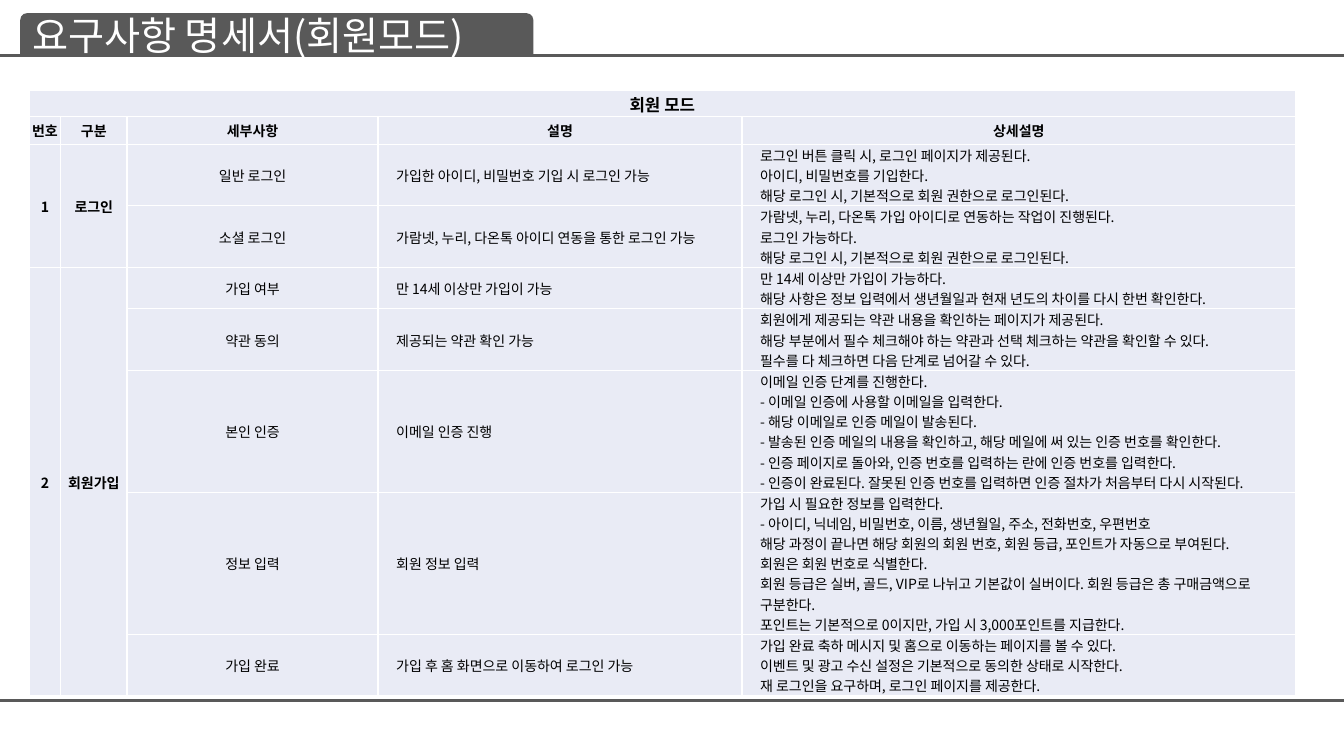
import pptx
import pptx.dml.color
import pptx.enum.shapes
import pptx.enum.text
import pptx.oxml.ns
import pptx.util
from lxml import etree

Inches = pptx.util.Inches
GRAY = pptx.dml.color.RGBColor(0x59, 0x59, 0x59)
WHITE = pptx.dml.color.RGBColor(0xFF, 0xFF, 0xFF)
BLACK = pptx.dml.color.RGBColor(0x00, 0x00, 0x00)
PALE = pptx.dml.color.RGBColor(0xE9, 0xEB, 0xF5)
FONT = "Noto Sans CJK KR"
qn = pptx.oxml.ns.qn


def style_paragraph(paragraph, size, color, bold, alignment):
    paragraph.alignment = alignment
    font = paragraph.font
    font.name = FONT
    font.size = pptx.util.Pt(size)
    font.bold = bold
    font.color.rgb = color
    properties = paragraph._p.pPr.find(qn("a:defRPr"))
    etree.SubElement(properties, qn("a:ea"), typeface=FONT)


def add_borders(cell):
    properties = cell._tc.get_or_add_tcPr()
    for side in ("a:lnL", "a:lnR", "a:lnT", "a:lnB"):
        line = etree.SubElement(properties, qn(side), w=str(pptx.util.Pt(1)))
        fill = etree.SubElement(line, qn("a:solidFill"))
        etree.SubElement(fill, qn("a:srgbClr"), val=str(WHITE))


presentation = pptx.Presentation()
presentation.slide_width = Inches(13.33)
presentation.slide_height = Inches(7.5)
slide = presentation.slides.add_slide(presentation.slide_layouts[6])

for y in (0.55, 6.95):
    rule = slide.shapes.add_connector(
        pptx.enum.shapes.MSO_CONNECTOR.STRAIGHT, 0, Inches(y), Inches(13.33), Inches(y))
    rule.line.color.rgb = GRAY
    rule.line.width = pptx.util.Pt(2.25)
    etree.SubElement(rule._element.spPr, qn("a:effectLst"))

title = slide.shapes.add_shape(
    pptx.enum.shapes.MSO_SHAPE.ROUND_2_SAME_RECTANGLE,
    Inches(0.2), Inches(0.13), Inches(5.09), Inches(0.42))
title.shadow.inherit = False
title.fill.solid()
title.fill.fore_color.rgb = GRAY
title.line.fill.background()
title.text_frame.word_wrap = True
title.text_frame.vertical_anchor = pptx.enum.text.MSO_ANCHOR.MIDDLE
title_paragraph = title.text_frame.paragraphs[0]
title_paragraph.text = "요구사항 명세서(회원모드)"
style_paragraph(title_paragraph, 28, WHITE, False, pptx.enum.text.PP_ALIGN.LEFT)

rows = [
    ("회원 모드", "", "", "", ""),
    ("번호", "구분", "세부사항", "설명", "상세설명"),
    ("1", "로그인", "일반 로그인", "가입한 아이디, 비밀번호 기입 시 로그인 가능",
     "로그인 버튼 클릭 시, 로그인 페이지가 제공된다.\n"
     "아이디, 비밀번호를 기입한다.\n"
     "해당 로그인 시, 기본적으로 회원 권한으로 로그인된다."),
    ("", "", "소셜 로그인", "가람넷, 누리, 다온톡 아이디 연동을 통한 로그인 가능",
     "가람넷, 누리, 다온톡 가입 아이디로 연동하는 작업이 진행된다.\n"
     "로그인 가능하다.\n"
     "해당 로그인 시, 기본적으로 회원 권한으로 로그인된다."),
    ("2", "회원가입", "가입 여부", "만 14세 이상만 가입이 가능",
     "만 14세 이상만 가입이 가능하다.\n"
     "해당 사항은 정보 입력에서 생년월일과 현재 년도의 차이를 다시 한번 확인한다."),
    ("", "", "약관 동의", "제공되는 약관 확인 가능",
     "회원에게 제공되는 약관 내용을 확인하는 페이지가 제공된다.\n"
     "해당 부분에서 필수 체크해야 하는 약관과 선택 체크하는 약관을 확인할 수 있다.\n"
     "필수를 다 체크하면 다음 단계로 넘어갈 수 있다."),
    ("", "", "본인 인증", "이메일 인증 진행",
     "이메일 인증 단계를 진행한다.\n"
     "- 이메일 인증에 사용할 이메일을 입력한다.\n"
     "- 해당 이메일로 인증 메일이 발송된다.\n"
     "- 발송된 인증 메일의 내용을 확인하고, 해당 메일에 써 있는 인증 번호를 확인한다.\n"
     "- 인증 페이지로 돌아와, 인증 번호를 입력하는 란에 인증 번호를 입력한다.\n"
     "- 인증이 완료된다. 잘못된 인증 번호를 입력하면 인증 절차가 처음부터 다시 시작된다."),
    ("", "", "정보 입력", "회원 정보 입력",
     "가입 시 필요한 정보를 입력한다.\n"
     "- 아이디, 닉네임, 비밀번호, 이름, 생년월일, 주소, 전화번호, 우편번호\n"
     "해당 과정이 끝나면 해당 회원의 회원 번호, 회원 등급, 포인트가 자동으로 부여된다.\n"
     "회원은 회원 번호로 식별한다.\n"
     "회원 등급은 실버, 골드, VIP로 나뉘고 기본값이 실버이다. 회원 등급은 총 구매금액으로 구분한다.\n"
     "포인트는 기본적으로 0이지만, 가입 시 3,000포인트를 지급한다."),
    ("", "", "가입 완료", "가입 후 홈 화면으로 이동하여 로그인 가능",
     "가입 완료 축하 메시지 및 홈으로 이동하는 페이지를 볼 수 있다.\n"
     "이벤트 및 광고 수신 설정은 기본적으로 동의한 상태로 시작한다.\n"
     "재 로그인을 요구하며, 로그인 페이지를 제공한다."),
]
column_widths = [0.31, 0.66, 2.49, 3.61, 5.49]
row_heights = [0.23, 0.28, 0.52, 0.52, 0.34, 0.52, 1.03, 1.03, 0.52]

table = slide.shapes.add_table(
    len(rows), len(column_widths), Inches(0.29), Inches(0.9), Inches(12.56), Inches(5.27)).table
table.first_row = False
table.horz_banding = False
for column, width in zip(table.columns, column_widths):
    column.width = Inches(width)
for row, height in zip(table.rows, row_heights):
    row.height = Inches(height)

table.cell(0, 0).merge(table.cell(0, 4))
for column_index in (0, 1):
    for first, last in ((2, 3), (4, 8)):
        table.cell(first, column_index).merge(table.cell(last, column_index))

for row_index, texts in enumerate(rows):
    for column_index, text in enumerate(texts):
        cell = table.cell(row_index, column_index)
        is_heading = row_index < 2 or column_index < 2
        is_description = row_index >= 2 and column_index >= 3
        cell.margin_left = Inches(0.18 if is_description else 0.01)
        cell.margin_top = cell.margin_right = Inches(0.01)
        cell.margin_bottom = 0
        cell.vertical_anchor = pptx.enum.text.MSO_ANCHOR.MIDDLE
        add_borders(cell)
        cell.fill.solid()
        cell.fill.fore_color.rgb = PALE
        paragraph = cell.text_frame.paragraphs[0]
        paragraph.text = text
        alignment = pptx.enum.text.PP_ALIGN.LEFT if is_description else pptx.enum.text.PP_ALIGN.CENTER
        style_paragraph(paragraph, 12 if row_index == 0 else 10, BLACK, is_heading, alignment)

presentation.save("out.pptx")
